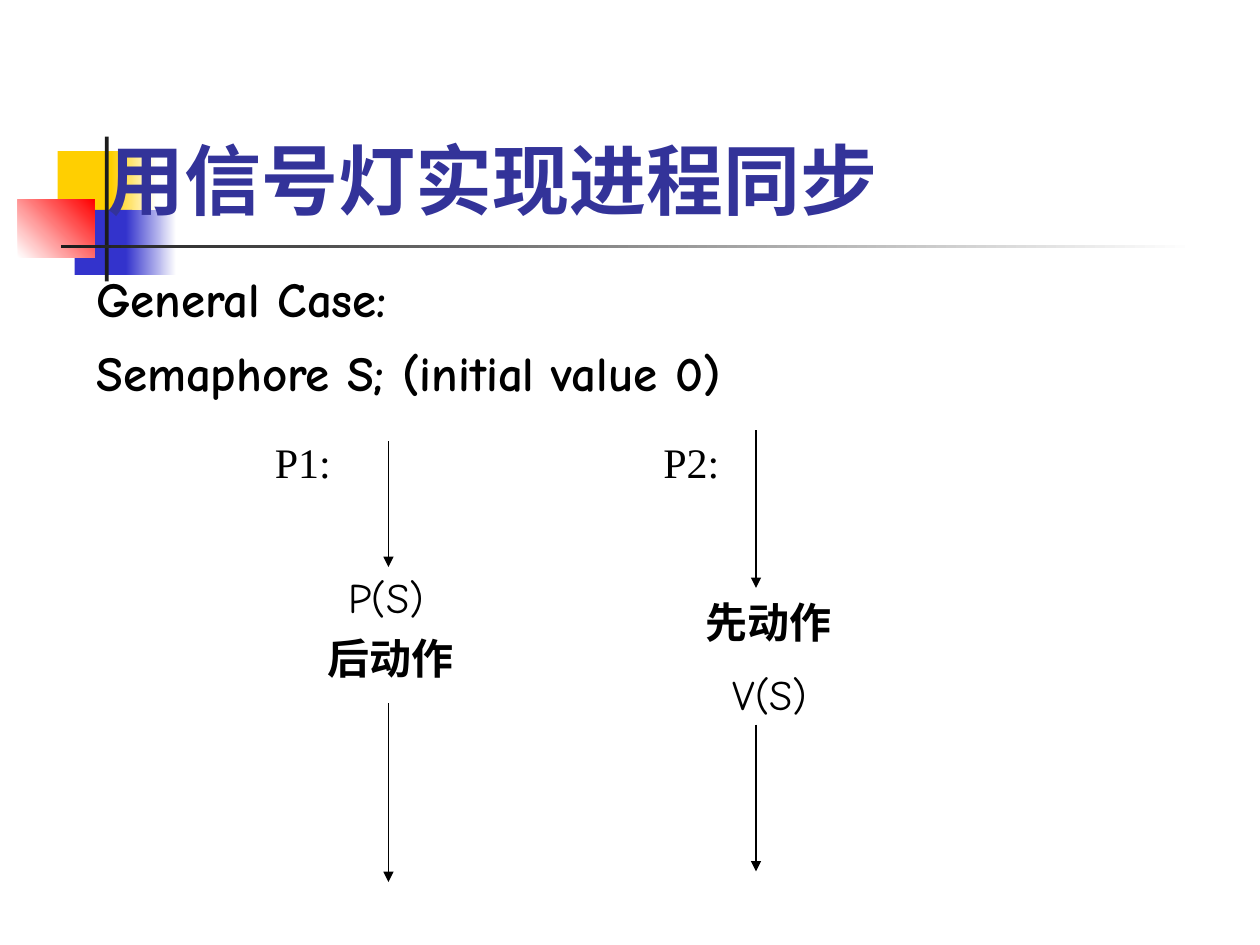
from dataclasses import dataclass
from lxml import etree
from pptx import Presentation
from pptx.dml.color import RGBColor
from pptx.enum.shapes import MSO_CONNECTOR, MSO_SHAPE
from pptx.enum.text import MSO_ANCHOR, MSO_AUTO_SIZE, PP_ALIGN
from pptx.oxml.ns import qn
from pptx.util import Inches, Pt

STRAIGHT = MSO_CONNECTOR.STRAIGHT
RECTANGLE = MSO_SHAPE.RECTANGLE
TOP, BOTTOM = MSO_ANCHOR.TOP, MSO_ANCHOR.BOTTOM
LEFT = PP_ALIGN.LEFT
GROW, FIXED = MSO_AUTO_SIZE.SHAPE_TO_FIT_TEXT, MSO_AUTO_SIZE.NONE

WIDTH, HEIGHT = Inches(10), Inches(7.5)
COLUMNS, ROWS = 120, 90


@dataclass(frozen=True)
class Theme:
    white: str = "FFFFFF"
    black: str = "000000"
    rule: str = "1C1C1C"
    yellow: str = "FFCF01"
    blue: str = "3333CC"
    red: str = "FF0000"
    title: str = "333399"
    title_font: str = "Cabin"
    body_font: str = "Comic Neue"
    label_font: str = "Times New Roman"
    title_size: int = 44
    body_size: int = 28
    step_size: int = 24
    line_width: float = 0.75


THEME = Theme()


def across(columns):
    return round(WIDTH * columns / COLUMNS)


def down(rows):
    return round(HEIGHT * rows / ROWS)


def place(box):
    left, top, width, height = box
    return across(left), down(top), across(width), down(height)


def apply(target, values):
    for name, value in values.items():
        setattr(target, name, value)


def write(para, text, font, size, color=THEME.black, bold=False, indent=0, **spacing):
    if indent:
        para._p.get_or_add_pPr().set("marL", str(across(indent)))
    apply(para, {"alignment": LEFT, **spacing})
    span = para.add_run()
    span.text = text
    apply(span.font, {"name": font, "size": Pt(size), "bold": bold})
    span.font.color.rgb = RGBColor.from_string(color)


def add_text(page, box, lines):
    frame = page.shapes.add_textbox(*place(box)).text_frame
    apply(frame, {"word_wrap": True, "auto_size": GROW, "vertical_anchor": TOP})
    for index, line in enumerate(lines):
        para = frame.add_paragraph() if index else frame.paragraphs[0]
        write(para, **line)


def add_block(page, box, start, end=None, angle=0):
    block = page.shapes.add_shape(RECTANGLE, *place(box))
    block.shadow.inherit = False
    block.line.fill.background()
    if end is None:
        block.fill.solid()
        block.fill.fore_color.rgb = RGBColor.from_string(start)
        return
    block.fill.gradient()
    block.fill.gradient_angle = angle
    for stop, color, position in zip(block.fill.gradient_stops, (start, end), (0, 1)):
        stop.color.rgb = RGBColor.from_string(color)
        stop.position = position


def add_emblem(page, left, top):
    blocks = [
        ((3.8, 1.4, 5.8, 6.2), THEME.yellow),
        ((8.9, 1.4, 4.3, 6.2), THEME.yellow, THEME.white),
        ((5.4, 7, 5.5, 6.2), THEME.blue),
        ((10.3, 7, 4.8, 6.2), THEME.blue, THEME.white),
        ((0, 6, 7.3, 5.5), THEME.white, THEME.red, 45),
        ((8.3, 0, 0.36, 13.8), THEME.rule),
        ((4.1, 10.3, 108, 0.36), THEME.rule, THEME.white),
    ]
    for (x, y, width, height), *colors in blocks:
        add_block(page, (left + x, top + y, width, height), *colors)


def add_title(page, box, text):
    title = page.shapes.title
    title.element.getparent().append(title.element)
    sides = dict(zip(("left", "top", "width", "height"), place(box)))
    apply(title, sides)
    frame = title.text_frame
    apply(frame, {"word_wrap": True, "auto_size": FIXED, "vertical_anchor": BOTTOM})
    write(frame.paragraphs[0], text, THEME.title_font, THEME.title_size, THEME.title, True)


def add_arrow(page, column, start, end):
    x = across(column)
    arrow = page.shapes.add_connector(STRAIGHT, x, down(start), x, down(end))
    arrow.line.color.rgb = RGBColor.from_string(THEME.black)
    arrow.line.width = Pt(THEME.line_width)
    etree.SubElement(arrow.line._get_or_add_ln(), qn("a:tailEnd"), type="triangle")
    etree.SubElement(arrow._element.spPr, qn("a:effectLst"))


def add_introduction(page, box):
    style = {"font": THEME.body_font, "size": THEME.body_size, "bold": True}
    add_text(page, box, [
        {"text": "General Case:", **style},
        {"text": "Semaphore S; (initial value 0)", **style,
         "line_spacing": 0.7, "space_before": Pt(17.5)},
    ])


def add_process(page, label_box, label, axis, arrows, step_box, steps):
    add_text(page, label_box, [
        {"text": label, "font": THEME.label_font, "size": THEME.step_size}])
    for start, end in arrows:
        add_arrow(page, axis, start, end)
    style = {"font": THEME.body_font, "size": THEME.step_size}
    add_text(page, step_box, [{**style, **step} for step in steps])


def main():
    deck = Presentation()
    apply(deck, {"slide_width": WIDTH, "slide_height": HEIGHT})
    page = deck.slides.add_slide(deck.slide_layouts[5])
    add_emblem(page, 1.7, 13)
    add_title(page, (9, 7, 102, 15), "用信号灯实现进程同步")
    add_introduction(page, (8, 25, 105, 13.7))
    add_process(page, (25, 41, 9, 6), "P1:", 37, [(42, 54), (67, 84)],
                (30, 53.8, 15, 11.9), [
                    {"text": "P(S)", "indent": 2},
                    {"text": "后动作", "bold": True, "space_before": Pt(6)},
                ])
    add_process(page, (62, 41, 9, 6), "P2:", 72, [(41, 56), (69, 83)],
                (66, 56.8, 15, 12.4), [
                    {"text": "先动作", "bold": True, "line_spacing": 0.9},
                    {"text": "V(S)", "indent": 2.6, "line_spacing": 0.9,
                     "space_before": Pt(15)},
                ])
    deck.save("out.pptx")


if __name__ == "__main__":
    main()
